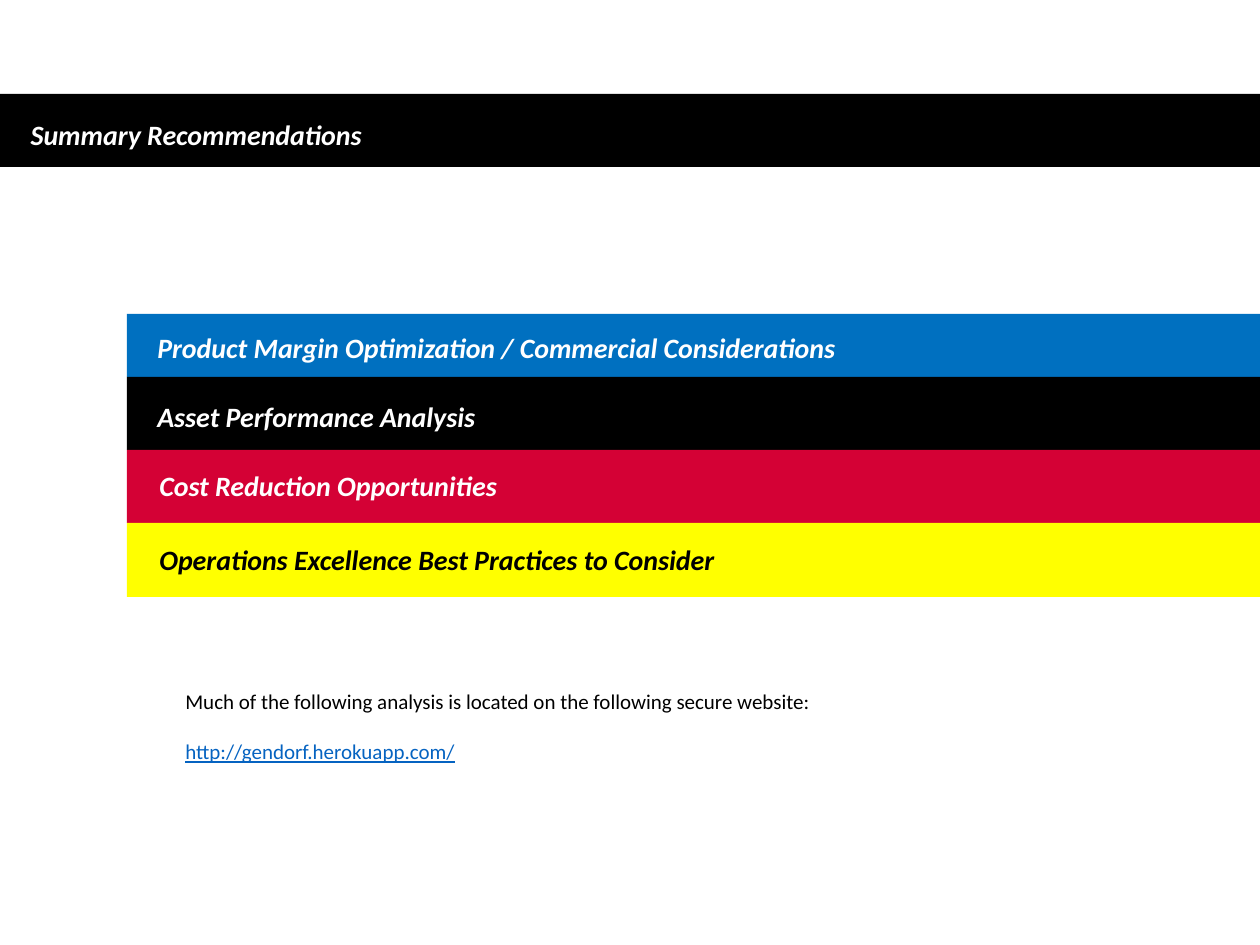
from pptx import Presentation
from pptx.dml.color import RGBColor
from pptx.enum import shapes, text
from pptx.util import Pt

BLACK = RGBColor(0, 0, 0)
WHITE = RGBColor(255, 255, 255)
BLUE = RGBColor(0, 0x70, 0xC0)
RED = RGBColor(0xD4, 0x01, 0x35)
YELLOW = RGBColor(255, 255, 0)
LINK = RGBColor(0x05, 0x63, 0xC1)

TITLE = "Summary Recommendations"
# words, fill, ink, bar height, label left, label drop within bar, label width
TOPICS = [
    ("Product Margin Optimization / Commercial Considerations",
     BLUE, WHITE, 63, 145, 10, 1086),
    ("Asset Performance Analysis", BLACK, WHITE, 73, 145, 16, 1038),
    ("Cost Reduction Opportunities", RED, WHITE, 73, 147, 12, 1055),
    ("Operations Excellence Best Practices to Consider",
     YELLOW, BLACK, 74, 147, 13, 1155),
]
NOTE = "Much of the following analysis is located on the following secure website:"
SITE = "http://gendorf.herokuapp.com/"

PX = 914400 // 126
WIDE, HIGH = 1260, 945
LEFT, TOP = 127, 314
LABEL = 47


def px(*vals):
    return [v * PX for v in vals]


def add_bar(slide, left, top, high, fill):
    bar = slide.shapes.add_shape(
        shapes.MSO_SHAPE.RECTANGLE, *px(left, top, WIDE - left, high))
    bar.shadow.inherit = False
    bar.fill.solid()
    bar.fill.fore_color.rgb = fill
    bar.line.fill.background()


def add_run(para, words, size, ink, bold=False, under=False):
    """Add a run; bold text is italic too, as on every bar."""
    run = para.add_run()
    run.text = words
    font = run.font
    font.name, font.size = "Calibri", Pt(size)
    font.bold = font.italic = bold
    font.underline = under
    font.color.rgb = ink


def set_frame(box):
    frame = box.text_frame
    frame.word_wrap = True
    frame.auto_size = text.MSO_AUTO_SIZE.SHAPE_TO_FIT_TEXT
    frame.vertical_anchor = text.MSO_ANCHOR.TOP
    para = frame.paragraphs[0]
    para.alignment = text.PP_ALIGN.LEFT
    para.line_spacing = 1.0
    para.space_before = Pt(0)
    return frame


def main():
    deck = Presentation()
    deck.slide_width, deck.slide_height = px(WIDE, HIGH)
    slide = deck.slides.add_slide(deck.slide_layouts[5])

    add_bar(slide, 0, 94, 73, BLACK)
    title = slide.shapes.title
    title.left, title.top, title.width, title.height = px(18, 111, 1155, LABEL)
    add_run(set_frame(title).paragraphs[0], TITLE, 16, WHITE, bold=True)
    slide.shapes._spTree.append(title._element)  # bring in front of its bar

    top = TOP
    for words, fill, ink, high, left, drop, wide in TOPICS:
        add_bar(slide, LEFT, top, high, fill)
        box = slide.shapes.add_textbox(*px(left, top + drop, wide, LABEL))
        add_run(set_frame(box).paragraphs[0], words, 16, ink, bold=True)
        top += high

    box = slide.shapes.add_textbox(*px(173, 682, 974, 89))
    frame = set_frame(box)
    add_run(frame.paragraphs[0], NOTE, 12, BLACK)
    para = frame.add_paragraph()
    para.space_before = Pt(14.5)
    add_run(para, SITE, 12, LINK, under=True)

    deck.save("out.pptx")


if __name__ == "__main__":
    main()
